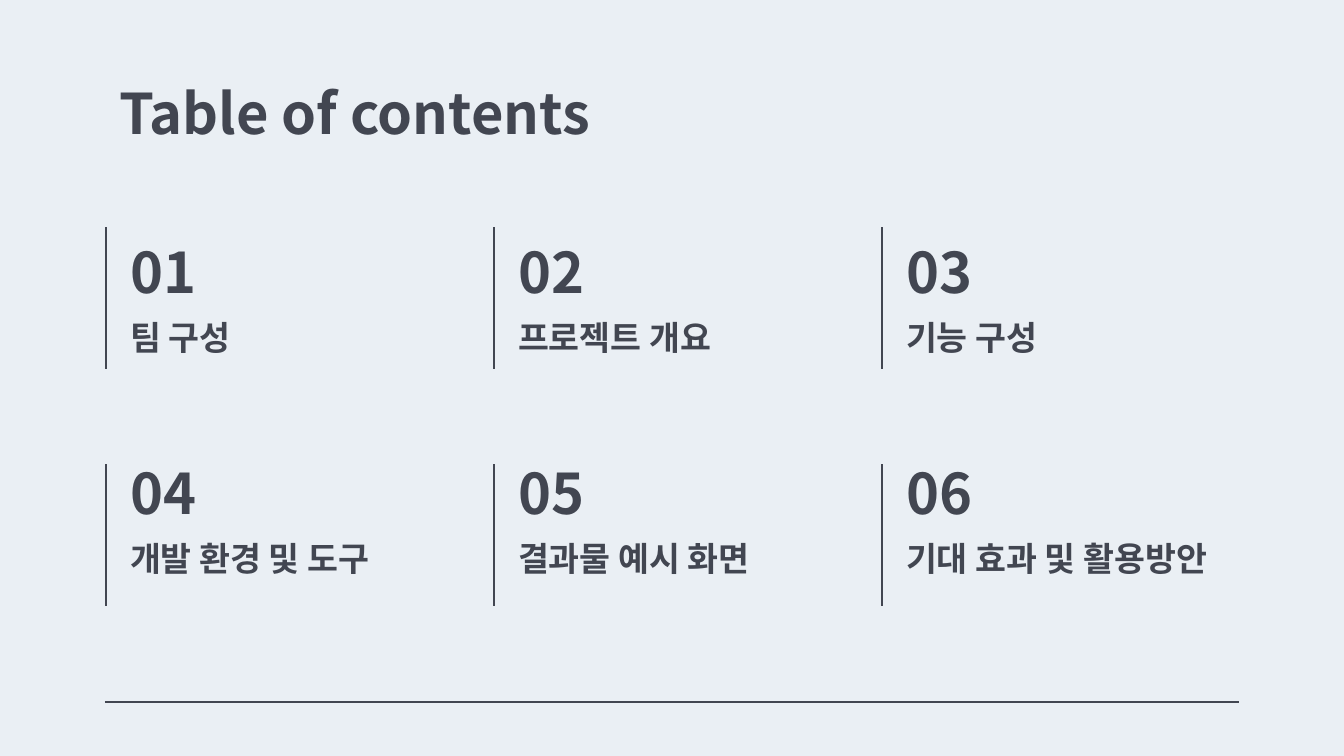
from lxml import etree
from pptx import Presentation
from pptx.dml.color import RGBColor
from pptx.enum.shapes import MSO_CONNECTOR as CONN
from pptx.enum.text import MSO_ANCHOR as ANCHOR, PP_ALIGN as ALIGN
from pptx.oxml.ns import qn
from pptx.util import Pt

SCALE = 9144000 / 1344
FONT = "Noto Sans CJK KR"
INK = "424651"
PAPER = "EAEFF4"
TOPICS = [
    "팀 구성", "프로젝트 개요", "기능 구성",
    "개발 환경 및 도구", "결과물 예시 화면", "기대 효과 및 활용방안",
]


def px(n):
    return round(n * SCALE)


def color(value):
    return RGBColor.from_string(value)


def write(tf, text, size=18, anchor=ANCHOR.TOP):
    tf.word_wrap = True
    tf.vertical_anchor = anchor
    tf.margin_left = tf.margin_right = tf.margin_top = tf.margin_bottom = px(13)
    p = tf.paragraphs[0]
    p.alignment = ALIGN.LEFT
    r = p.add_run()
    r.text = text
    r.font.name = FONT
    r.font.size = Pt(size)
    r.font.bold = True
    r.font.color.rgb = color(INK)
    etree.SubElement(r.font._element, qn("a:ea"), typeface=FONT)


def add_text(s, x, y, w, h, text, **fmt):
    write(s.shapes.add_textbox(px(x), px(y), px(w), px(h)).text_frame, text, **fmt)


def add_line(s, x1, y1, x2, y2):
    line = s.shapes.add_connector(CONN.STRAIGHT, px(x1), px(y1), px(x2), px(y2))
    line.line.color.rgb = color(INK)
    line.line.width = Pt(0.75)
    etree.SubElement(line._element.spPr, qn("a:effectLst"))


def add_title(s, x, y, w, h, text):
    title = s.shapes.title
    title.left, title.top, title.width, title.height = px(x), px(y), px(w), px(h)
    write(title.text_frame, text, size=30)


def add_entry(s, x, y, w, h, number, topic, text_top):
    add_line(s, x, y + h, x, y)
    add_text(s, x + 11, y + text_top, 108, 85, f"{number:02}", size=30, anchor=ANCHOR.BOTTOM)
    add_text(s, x + 11, y + text_top + 71, w, 65, topic)


def add_contents(s, x, y, topics):
    for i, topic in enumerate(topics):
        row, col = divmod(i, 3)
        text_top = 6 - 16 * row
        add_entry(s, x + 388 * col, y + 237 * row, 355, 142, i + 1, topic, text_top)


def main():
    prs = Presentation()
    prs.slide_width, prs.slide_height = px(1344), px(756)
    s = prs.slides.add_slide(prs.slide_layouts[5])
    s.background.fill.solid()
    s.background.fill.fore_color.rgb = color(PAPER)
    add_line(s, 105, 702, 1239, 702)
    add_title(s, 106, 66, 1133, 85, "Table of contents")
    add_contents(s, 106, 227, TOPICS)
    prs.save("out.pptx")


if __name__ == "__main__":
    main()
